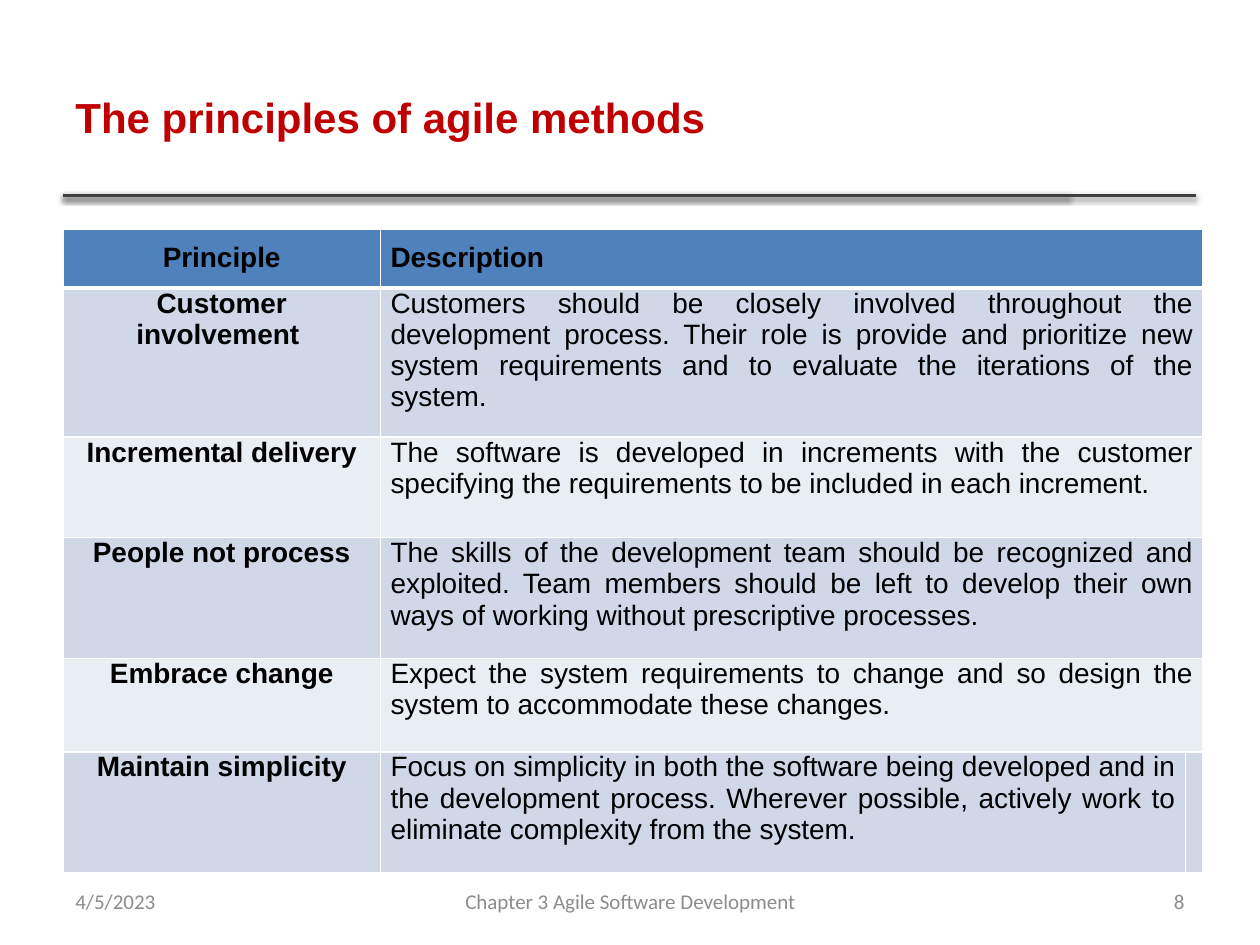
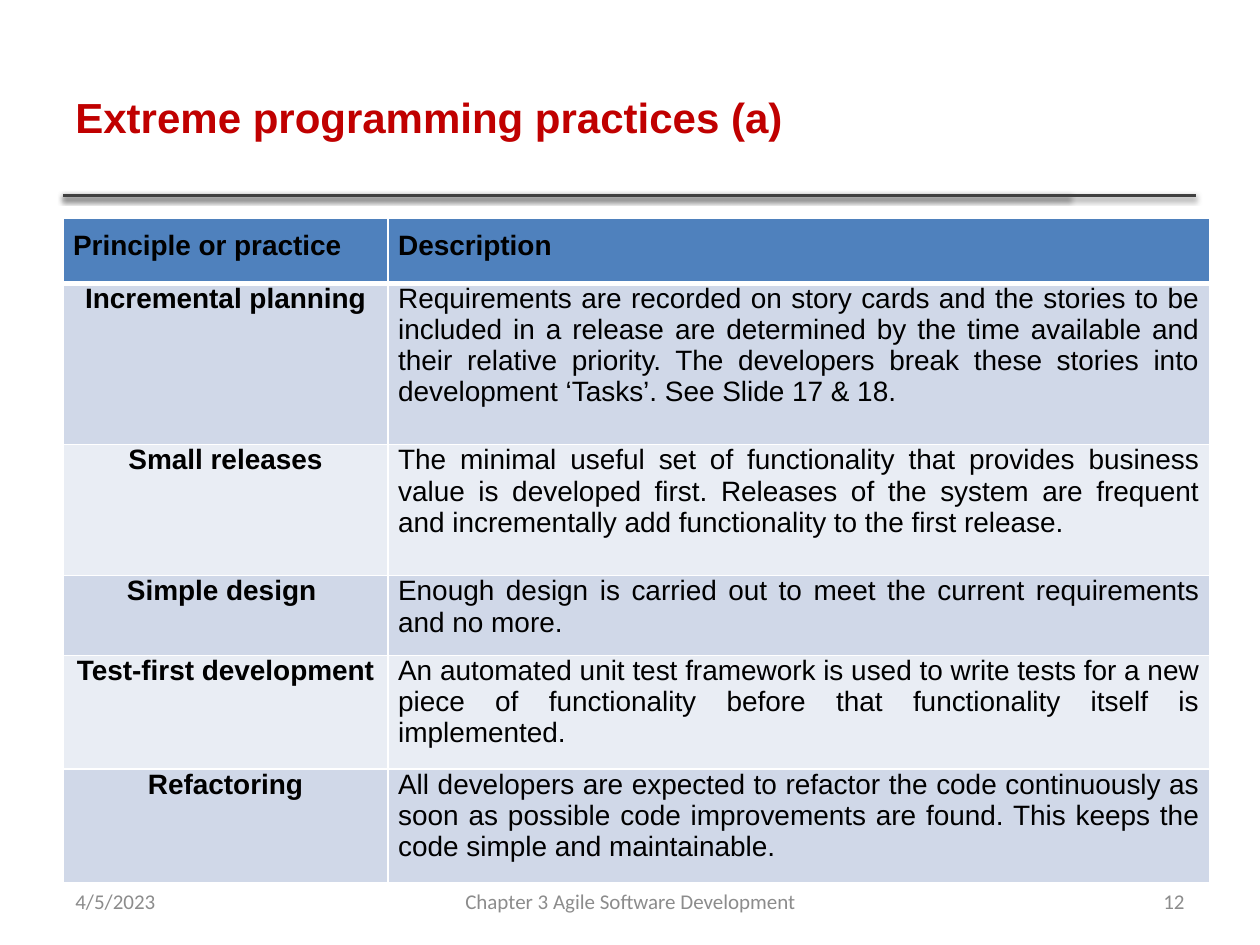
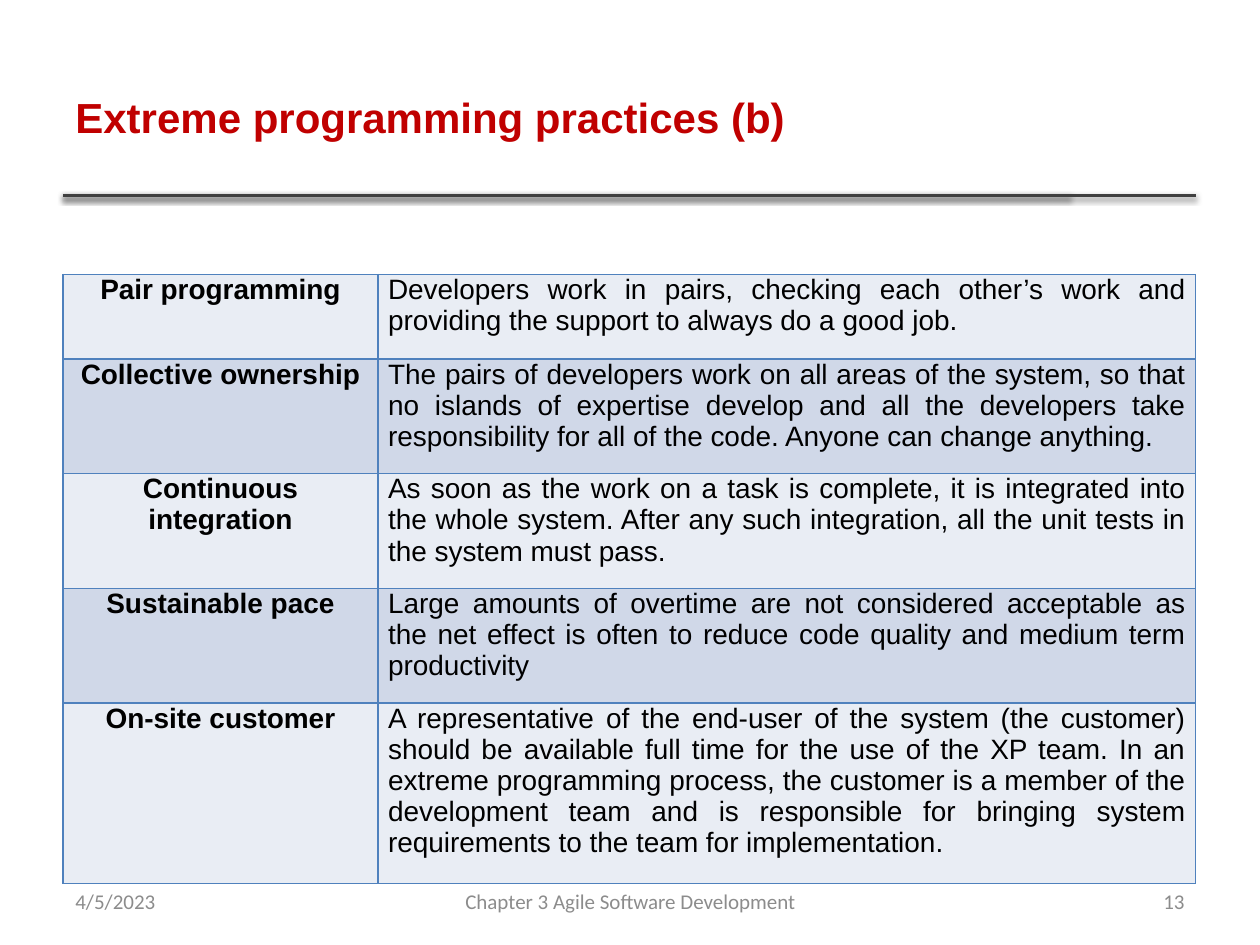
"""Build three slides on agile principles and extreme programming practices."""
from lxml import etree
from pptx import Presentation
from pptx.dml.color import RGBColor
from pptx.enum.shapes import MSO_CONNECTOR
from pptx.enum.text import MSO_ANCHOR, PP_ALIGN
from pptx.oxml import parse_xml
from pptx.oxml.ns import nsdecls
from pptx.util import Inches, Pt

LEFT, CENTER, RIGHT, JUSTIFY = PP_ALIGN.LEFT, PP_ALIGN.CENTER, PP_ALIGN.RIGHT, PP_ALIGN.JUSTIFY
MIDDLE = MSO_ANCHOR.MIDDLE
STRAIGHT = MSO_CONNECTOR.STRAIGHT

COLORS = {
    "title": "C00000",
    "rule": "404040",
    "footer": "8C8C8C",
    "text": "000000",
    "header": "4F81BD",
    "dark_band": "D0D8E8",
    "light_band": "E9EDF4",
    "white": "FFFFFF",
}
CHAPTER = "Chapter 3 Agile Software Development"
DATE = "4/5/2023"

SLIDES = [
    {
        "title": "The principles of agile methods",
        "number": "8",
        "top": 1.82,
        "columns": [2.52, 6.39, 0.14],
        "heights": [0.44, 1.18, 0.8, 0.96, 0.74, 0.96],
        "has_header": True,
        "header_align": CENTER,
        "border": "white",
        "bands": ["light_band", "dark_band"],
        "rows": [
            ("Principle", "Description"),
            ("Customer involvement ",
             "Customers should be closely involved throughout the development process. Their role is "
             "provide and prioritize new system requirements and to evaluate the iterations of the system."),
            ("Incremental delivery",
             "The software is developed in increments with the customer specifying the requirements "
             "to be included in each increment."),
            ("People not process",
             "The skills of the development team should be recognized and exploited. Team members "
             "should be left to develop their own ways of working without prescriptive processes."),
            ("Embrace change",
             "Expect the system requirements to change and so design the system to accommodate "
             "these changes."),
            ("Maintain simplicity",
             "Focus on simplicity in both the software being developed and in the development process. "
             "Wherever possible, actively work to eliminate complexity from the system."),
        ],
    },
    {
        "title": "Extreme programming practices (a)",
        "number": "12",
        "top": 1.73,
        "columns": [2.58, 6.52],
        "heights": [0.52, 1.28, 1.04, 0.57, 0.81, 0.81],
        "has_header": True,
        "header_align": JUSTIFY,
        "border": "white",
        "bands": ["light_band", "dark_band"],
        "rows": [
            ("Principle or practice", "Description"),
            ("Incremental planning",
             "Requirements are recorded on story cards and the stories to be included in a release are "
             "determined by the time available and their relative priority. The developers break these "
             "stories into development ‘Tasks’. See Slide 17 & 18."),
            ("Small releases",
             "The minimal useful set of functionality that provides business value is developed first. "
             "Releases of the system are frequent and incrementally add functionality to the first release."),
            ("Simple design ",
             "Enough design is carried out to meet the current requirements and no more."),
            ("Test-first development",
             "An automated unit test framework is used to write tests for a new piece of functionality "
             "before that functionality itself is implemented."),
            ("Refactoring",
             "All developers are expected to refactor the code continuously as soon as possible code "
             "improvements are found. This keeps the code simple and maintainable."),
        ],
    },
    {
        "title": "Extreme programming practices (b)",
        "number": "13",
        "top": 2.18,
        "columns": [2.5, 6.49],
        "heights": [0.67, 0.91, 0.91, 0.91, 1.4],
        "has_header": False,
        "border": "header",
        "bands": ["light_band", "dark_band"],
        "rows": [
            ("Pair programming",
             "Developers work in pairs, checking each other’s work and providing the support to always "
             "do a good job."),
            ("Collective ownership",
             "The pairs of developers work on all areas of the system, so that no islands of expertise "
             "develop and all the developers take responsibility for all of the code. Anyone can change "
             "anything."),
            ("Continuous integration",
             "As soon as the work on a task is complete, it is integrated into the whole system. After "
             "any such integration, all the unit tests in the system must pass."),
            ("Sustainable pace",
             "Large amounts of overtime are not considered acceptable as the net effect is often to "
             "reduce code quality and medium term productivity"),
            ("On-site customer",
             "A representative of the end-user of the system (the customer) should be available full time "
             "for the use of the XP team. In an extreme programming process, the customer is a member of "
             "the development team and is responsible for bringing system requirements to the team for "
             "implementation."),
        ],
    },
]


def style_paragraph(paragraph, text, align, font_name, size, color, bold=False):
    paragraph.text = text
    paragraph.alignment = align
    font = paragraph.font
    font.name, font.size, font.bold = font_name, Pt(size), bold
    font.color.rgb = RGBColor.from_string(COLORS[color])


def set_borders(cell, color, top, bottom):
    properties = cell._tc.get_or_add_tcPr()
    widths = {"lnL": 1, "lnR": 1, "lnT": top, "lnB": bottom}
    for index, (side, width) in enumerate(widths.items()):
        properties.insert(index, parse_xml(
            f'<a:{side} {nsdecls("a")} w="{Pt(width)}"><a:solidFill>'
            f'<a:srgbClr val="{COLORS[color]}"/></a:solidFill></a:{side}>'))


prs = Presentation()
prs.slide_width, prs.slide_height = Inches(10), Inches(7.5)

for content in SLIDES:
    slide = prs.slides.add_slide(prs.slide_layouts[6])

    for rule_end in (8.49, 9.49):
        rule = slide.shapes.add_connector(
            STRAIGHT, Inches(0.5), Inches(1.55), Inches(rule_end), Inches(1.55))
        rule.line.color.rgb = RGBColor.from_string(COLORS["rule"])
        rule.line.width = Pt(2)
        rule._element.spPr.append(etree.fromstring(
            f'<a:effectLst {nsdecls("a")}><a:outerShdw blurRad="{Pt(3.1)}" dist="{Pt(1.6)}" '
            'dir="5400000" rotWithShape="0"><a:srgbClr val="000000"><a:alpha val="38000"/>'
            '</a:srgbClr></a:outerShdw></a:effectLst>'))

    for text, left, top, width, height, align, font_name, size, color, bold in (
        (content["title"], 0.5, 0.3, 7.98, 1.25, LEFT, "Arial", 24, "title", True),
        (DATE, 0.5, 6.95, 2.33, 0.4, LEFT, "Calibri", 12, "footer", False),
        (CHAPTER, 3.42, 6.95, 3.17, 0.4, CENTER, "Calibri", 12, "footer", False),
        (content["number"], 7.17, 6.95, 2.33, 0.4, RIGHT, "Calibri", 12, "footer", False),
    ):
        frame = slide.shapes.add_textbox(
            Inches(left), Inches(top), Inches(width), Inches(height)).text_frame
        frame.word_wrap = True
        frame.vertical_anchor = MIDDLE
        style_paragraph(frame.paragraphs[0], text, align, font_name, size, color, bold)

    columns, heights, rows = content["columns"], content["heights"], content["rows"]
    has_header = content["has_header"]
    practices = slide.shapes.add_table(
        len(rows), len(columns), Inches(0.5), Inches(content["top"]),
        Inches(sum(columns)), Inches(sum(heights))).table
    practices.first_row = has_header
    practices.horz_banding = False
    for column, width in zip(practices.columns, columns):
        column.width = Inches(width)

    for r, texts in enumerate(rows):
        practices.rows[r].height = Inches(heights[r])
        is_header = has_header and r == 0
        for c in range(len(columns)):
            cell = practices.cell(r, c)
            cell.margin_left = cell.margin_right = Inches(0.08 if c < 2 else 0)
            cell.margin_top = Inches(0.1 if is_header else 0)
            cell.margin_bottom = Inches(0.1)
            cell.fill.solid()
            fill = "header" if is_header else content["bands"][r % 2]
            cell.fill.fore_color.rgb = RGBColor.from_string(COLORS[fill])
            set_borders(cell, content["border"],
                        top=3 if has_header and r == 1 else 1, bottom=3 if is_header else 1)
            align = JUSTIFY if c else content["header_align"] if is_header else CENTER
            style_paragraph(cell.text_frame.paragraphs[0], texts[c] if c < 2 else "",
                            align, "Arial", 16, "text", is_header or c == 0)
        if len(columns) == 3 and r < len(rows) - 1:
            practices.cell(r, 1).merge(practices.cell(r, 2))

prs.save("out.pptx")
